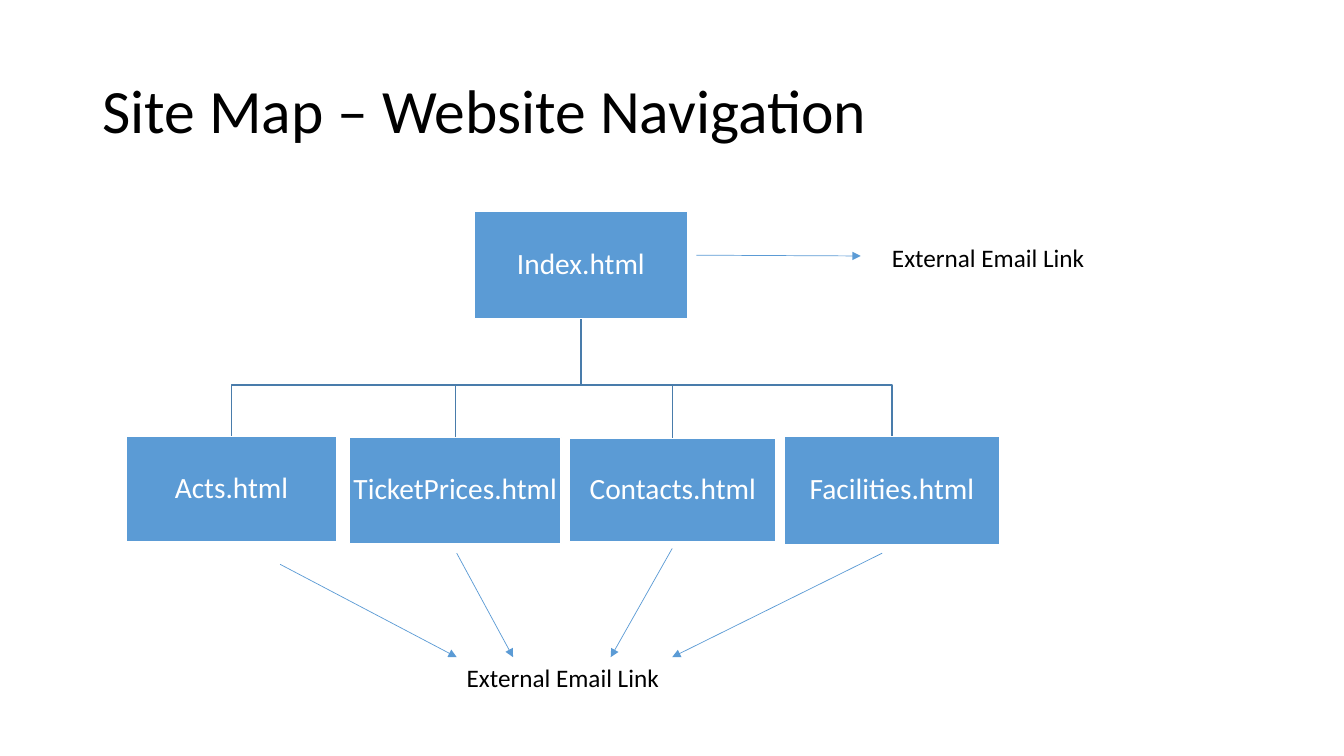
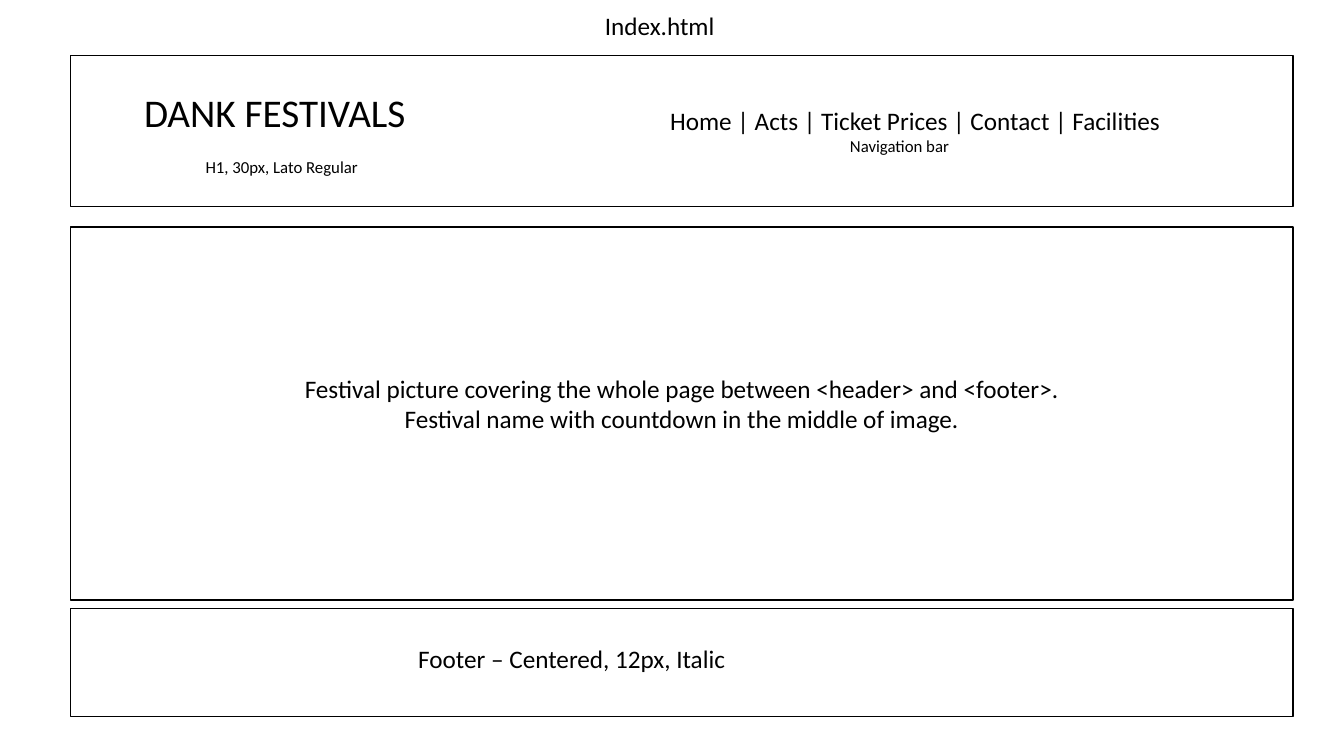
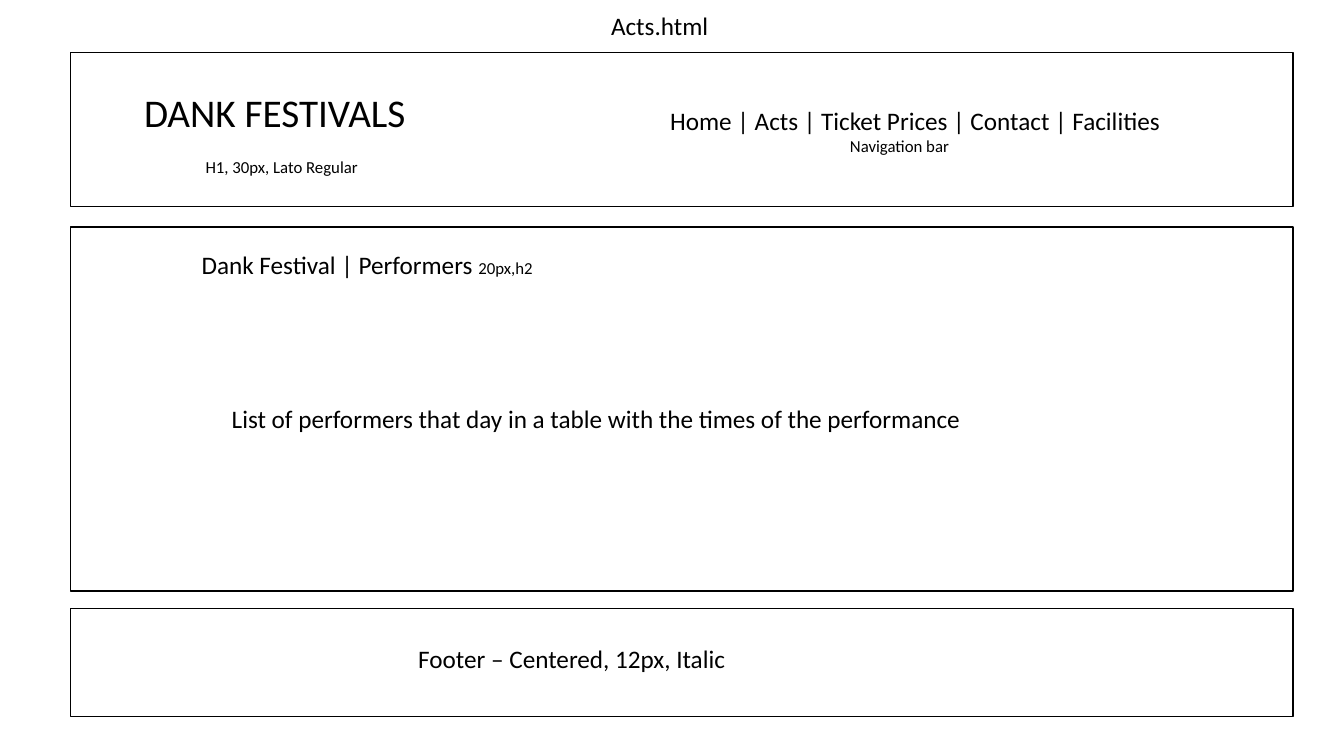
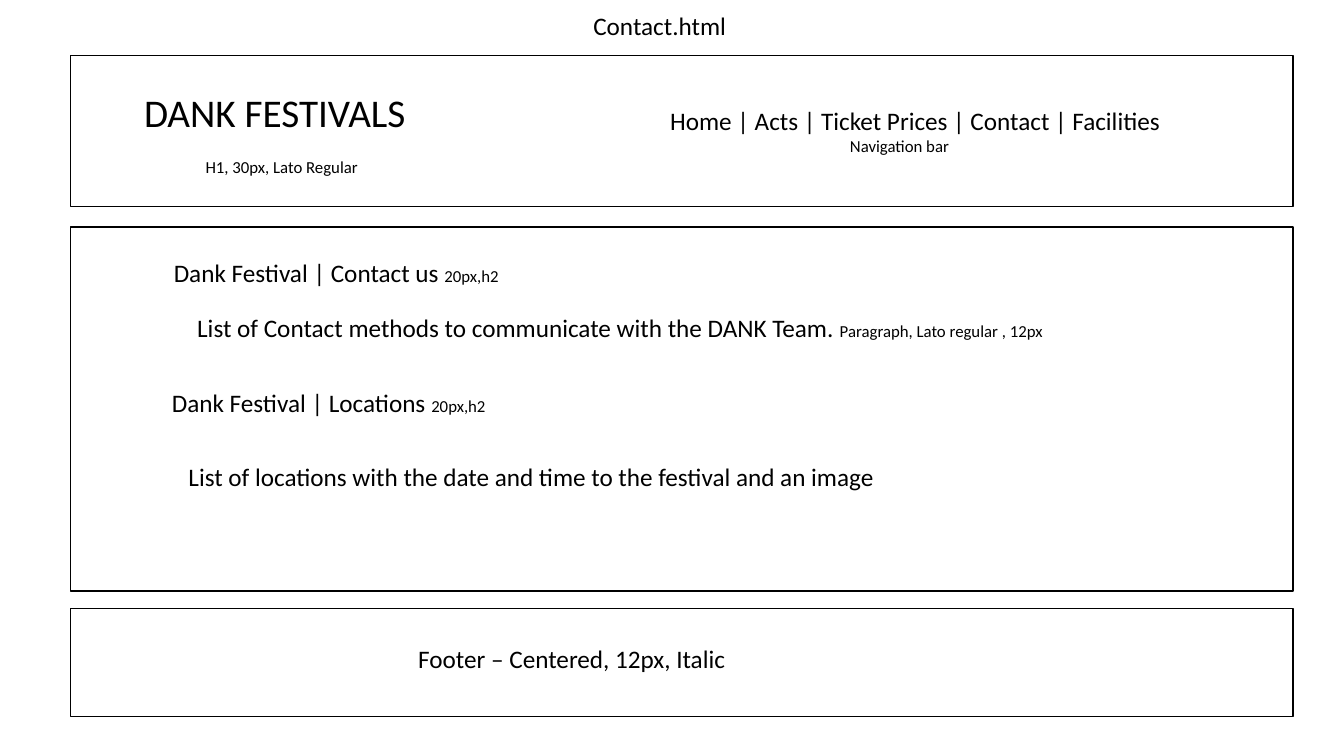
from lxml.etree import SubElement
from pptx import Presentation
from pptx.dml.color import RGBColor
from pptx.enum.shapes import MSO_CONNECTOR, MSO_SHAPE
from pptx.enum.text import MSO_ANCHOR, PP_ALIGN
from pptx.oxml.ns import qn
from pptx.util import Cm, Pt

COLOURS = {"black": "000000", "white": "FFFFFF", "blue": "5B9BD5", "branch": "497CAB"}
PAINT = {name: RGBColor.from_string(code) for name, code in COLOURS.items()}
FONT = "Calibri"
CENTRED = {"alignment": PP_ALIGN.CENTER}
BODY, NOTE = 18, 12

deck = Presentation()
deck.slide_width, deck.slide_height = Cm(33.87), Cm(19.05)
blank = deck.slide_layouts[6]


def write(box, lines, colour="black", **frame_format):
    """Each line is a list of (text, size) spans, a paragraph format and a left indent."""
    frame = box.text_frame
    frame.word_wrap = True
    for name, value in frame_format.items():
        setattr(frame, name, value)
    for number, (spans, para_format, indent) in enumerate(lines):
        para = frame.add_paragraph() if number else frame.paragraphs[0]
        for name, value in para_format.items():
            setattr(para, name, value)
        if indent:
            para._p.get_or_add_pPr().set("marL", str(Cm(indent)))
        for text, size in spans:
            span = para.add_run()
            span.text = text
            for name, value in {"name": FONT, "size": Pt(size)}.items():
                setattr(span.font, name, value)
            span.font.color.rgb = PAINT[colour]


def add_rectangle(page, place, fill, line):
    box = page.shapes.add_shape(MSO_SHAPE.RECTANGLE, *map(Cm, place))
    box.shadow.inherit = False
    box.fill.solid()
    box.fill.fore_color.rgb = PAINT[fill]
    box.line.color.rgb = PAINT[line]
    box.line.width = Pt(1)
    return box


# Site map: title
page = deck.slides.add_slide(blank)
title = page.shapes.add_textbox(*map(Cm, (2.33, 1.02, 29.21, 3.68)))
write(title, [([("Site Map – Website Navigation", 44)], {"line_spacing": 0.9}, 0)],
      vertical_anchor=MSO_ANCHOR.MIDDLE)

# Site map: branches from the home page, then the pages
home = ("Index.html", (11.96, 5.33, 5.36, 2.69))
children = [
    ("Acts.html", (3.18, 11, 5.31, 2.64)),
    ("TicketPrices.html", (8.81, 11.02, 5.33, 2.67)),
    ("Contacts.html", (14.35, 11.05, 5.21, 2.59)),
    ("Facilities.html", (19.76, 11, 5.44, 2.72)),
]
left, top, width, height = home[1]
trunk, trunk_top, bend = Cm(left + width / 2), Cm(top + height), Cm(9.7)
for name, (left, top, width, height) in children:
    middle = Cm(left + width / 2)
    builder = page.shapes.build_freeform(trunk, trunk_top)
    builder.add_line_segments([(trunk, bend), (middle, bend), (middle, Cm(top))], close=False)
    branch = builder.convert_to_shape()
    branch.shadow.inherit = False
    branch.fill.background()
    branch.line.color.rgb = PAINT["branch"]
    branch.line.width = Pt(1)

margins = {f"margin_{side}": Cm(0.03) for side in ("left", "right", "top", "bottom")}
for name, place in [home, *children]:
    box = add_rectangle(page, place, "blue", "white")
    write(box, [([(name, 21)], {**CENTRED, "line_spacing": 0.9}, 0)], "white",
          vertical_anchor=MSO_ANCHOR.MIDDLE, **margins)

# Site map: external links
for left, top in [(11.51, 16.56), (22.23, 5.99)]:
    label = page.shapes.add_textbox(Cm(left), Cm(top), Cm(6.27), Cm(1.02))
    write(label, [([("External Email Link", BODY)], {}, 0)])

arrows = [
    (7.06, 14.22, 11.51, 16.56),
    (11.51, 13.94, 12.93, 16.56),
    (16.94, 13.82, 15.39, 16.56),
    (22.23, 13.94, 16.94, 16.56),
    (17.55, 6.43, 21.69, 6.45),
]
for ends in arrows:
    arrow = page.shapes.add_connector(MSO_CONNECTOR.STRAIGHT, *map(Cm, ends))
    arrow.line.color.rgb = PAINT["blue"]
    arrow.line.width = Pt(0.5)
    properties = arrow._element.spPr
    SubElement(properties.find(qn("a:ln")), qn("a:tailEnd"), type="triangle")
    SubElement(properties, qn("a:effectLst"))

# Wireframes: parts that every page has
shared_texts = [
    ((3.38, 2.11, 11, 2.64), [
        ([("DANK FESTIVALS", 28)], {}, 0),
        ([("H1, 30px, Lato Regular", NOTE)], {"space_before": Pt(15)}, 1.55)]),
    ((16.64, 2.54, 13.31, 1.55), [
        ([("Home | Acts | Ticket Prices | Contact | Facilities", BODY)], {}, 0),
        ([("Navigation bar", NOTE)], {}, 4.53)]),
    ((10.29, 16.08, 12.04, 1.02), [
        ([("Footer – Centered, 12px, Italic", BODY)], {}, 0)]),
]

# Wireframes: file name, header top, body height, body texts
wireframes = [
    ("Index.html", 1.4, 9.4, [
        ((2.54, 9.27, 29.29, 1.8), [
            ([("Festival picture covering the whole page between <header> and <footer>.", BODY)],
             CENTRED, 0),
            ([("Festival name with countdown in the middle of image.", BODY)], CENTRED, 0)]),
    ]),
    ("Acts.html", 1.32, 9.17, [
        ((4.83, 6.17, 13, 1.02), [
            ([("Dank Festival | Performers ", BODY), ("20px,h2", NOTE)], {}, 0)]),
        ((5.59, 10.03, 26, 1.02), [
            ([("List of performers that day in a table with the times of the performance", BODY)],
             {}, 0)]),
    ]),
    ("Contact.html", 1.4, 9.17, [
        ((4.13, 6.35, 13, 1.02), [
            ([("Dank Festival | Contact us ", BODY), ("20px,h2", NOTE)], {}, 0)]),
        ((4.72, 7.75, 26, 1.02), [
            ([("List of Contact methods to communicate with the DANK Team. ", BODY),
              ("Paragraph, Lato regular , 12px", NOTE)], {}, 0)]),
        ((4.08, 9.63, 13, 1.02), [
            ([("Dank Festival | Locations ", BODY), ("20px,h2", NOTE)], {}, 0)]),
        ((4.5, 11.51, 26, 1.02), [
            ([("List of locations with the date and time to the festival and an image", BODY)],
             {}, 0)]),
    ]),
]
header_bottom = 5.21
for file_name, header_top, body_height, body_texts in wireframes:
    page = deck.slides.add_slide(blank)
    bands = [(header_top, header_bottom - header_top), (5.72, body_height), (15.34, 2.72)]
    for top, height in bands:
        add_rectangle(page, (1.78, top, 30.81, height), "white", "black")
    heading = ((10.82, 0.13, 11.61, 1.02), [([(file_name, BODY)], CENTRED, 0)])
    for place, lines in [heading, *shared_texts, *body_texts]:
        write(page.shapes.add_textbox(*map(Cm, place)), lines)

deck.save("out.pptx")
